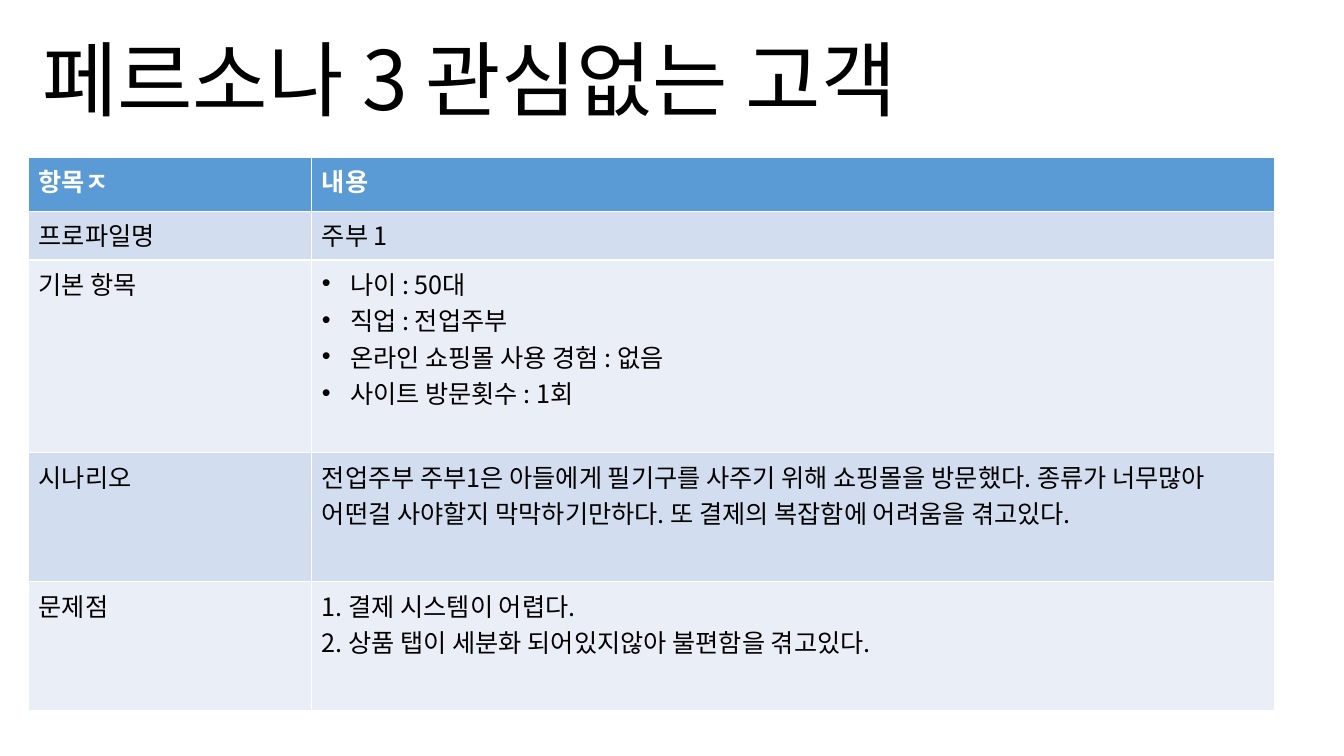
from lxml.etree import SubElement
from pptx import Presentation
from pptx.dml.color import RGBColor as RGB
from pptx.enum.text import MSO_ANCHOR as ANCHOR
from pptx.oxml.ns import qn
from pptx.util import Cm, Pt

THEME = {
    "font": "Noto Sans CJK KR",
    "title_size": Pt(58.6),
    "body_size": Pt(18),
    "black": RGB.from_string("000000"),
    "white": RGB.from_string("FFFFFF"),
    "header": RGB.from_string("5B9BD5"),
    "bands": [RGB.from_string("EAEFF7"), RGB.from_string("D2DEEF")],
    "border": Pt(1),
}


def write(p, text, **formats):
    """Add one run in the theme font."""
    r = p.add_run()
    r.text = text
    color = formats.pop("color")
    for name, value in {"name": THEME["font"], **formats}.items():
        setattr(r.font, name, value)
    r.font.color.rgb = color
    SubElement(r._r.get_or_add_rPr(), qn("a:ea"), typeface=THEME["font"])


def add_borders(cell):
    """Draw a thin white line on each side of a cell."""
    tcPr = cell._tc.get_or_add_tcPr()
    for i, side in enumerate(("lnL", "lnR", "lnT", "lnB")):
        ln = SubElement(tcPr, qn(f"a:{side}"), w=str(THEME["border"]))
        fill = SubElement(ln, qn("a:solidFill"))
        SubElement(fill, qn("a:srgbClr"), val=str(THEME["white"]))
        tcPr.insert(i, ln)


prs = Presentation()
prs.slide_width, prs.slide_height = Cm(33.87), Cm(19.05)
s = prs.slides.add_slide(prs.slide_layouts[6])

# Persona table: row height, label, content paragraphs
rows = [
    (1.36, "항목ㅈ", ["내용"]),
    (1.22, "프로파일명", ["주부 1"]),
    (4.86, "기본 항목", ["나이 : 50대", "직업 : 전업주부",
                     "온라인 쇼핑몰 사용 경험 : 없음", "사이트 방문횟수 : 1회"]),
    (3.25, "시나리오", ["전업주부 주부1은 아들에게 필기구를 사주기 위해 쇼핑몰을 방문했다. "
                    "종류가 너무많아 어떤걸 사야할지 막막하기만하다. "
                    "또 결제의 복잡함에 어려움을 겪고있다."]),
    (3.25, "문제점", ["1. 결제 시스템이 어렵다.",
                   "2. 상품 탭이 세분화 되어있지않아 불편함을 겪고있다."]),
]
widths = [7.14, 24.26]
bulleted = "기본 항목"
indent = Cm(0.71)

table = s.shapes.add_table(len(rows), len(widths), Cm(0.72), Cm(3.97),
                           Cm(sum(widths)), Cm(sum(row[0] for row in rows))).table
for column, width in zip(table.columns, widths):
    column.width = Cm(width)

for i, (height, label, content) in enumerate(rows):
    table.rows[i].height = Cm(height)
    is_header = i == 0
    for j, lines in enumerate(([label], content)):
        cell = table.cell(i, j)
        cell.fill.solid()
        cell.fill.fore_color.rgb = THEME["header"] if is_header else THEME["bands"][i % 2]
        add_borders(cell)
        tf = cell.text_frame
        for k, line in enumerate(lines):
            p = tf.add_paragraph() if k else tf.paragraphs[0]
            write(p, line, size=THEME["body_size"], bold=is_header,
                  color=THEME["white"] if is_header else THEME["black"])
            if j == 1 and label == bulleted:
                pPr = p._p.get_or_add_pPr()
                pPr.set("marL", str(indent))
                pPr.set("indent", str(-indent))
                SubElement(pPr, qn("a:buFont"), typeface="Arial")
                SubElement(pPr, qn("a:buChar"), char="•")

# Title
sp = s.shapes.add_textbox(Cm(0.81), Cm(0.36), Cm(31.19), Cm(3))
tf = sp.text_frame
for name, value in {"word_wrap": True, "vertical_anchor": ANCHOR.BOTTOM}.items():
    setattr(tf, name, value)
p = tf.paragraphs[0]
p.line_spacing = 0.9
write(p, "페르소나 3 관심없는 고객", size=THEME["title_size"], color=THEME["black"])

prs.save("out.pptx")
